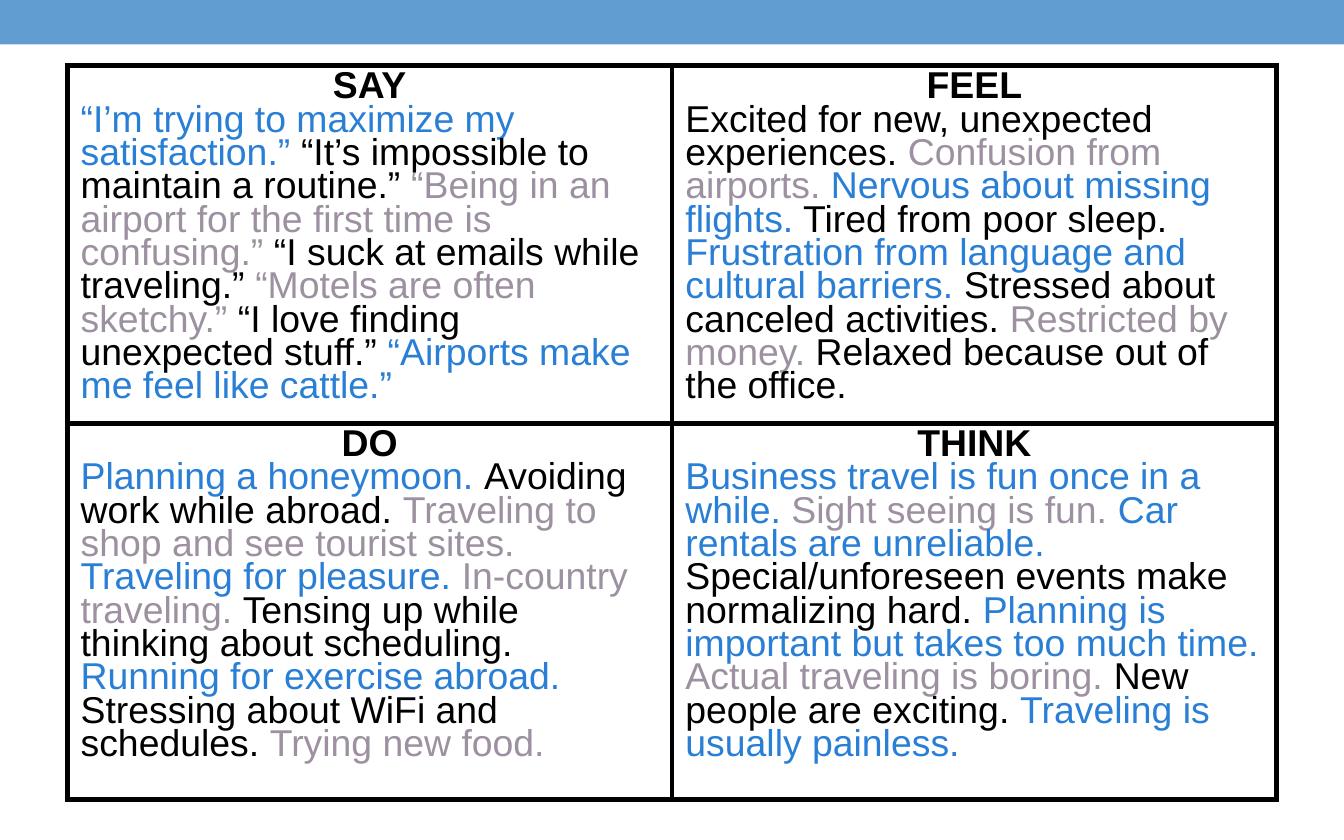
import pptx
import pptx.dml.color
import pptx.enum.shapes
import pptx.enum.text
import pptx.oxml.ns
import pptx.util
from lxml import etree

Cm = pptx.util.Cm
Pt = pptx.util.Pt
COLORS = {"bar": "629DD1", "black": "000000", "blue": "297FD5", "gray": "9D90A0"}

QUADRANTS = [
    ("SAY", [
        ("blue", "“I’m trying to maximize my satisfaction.” "),
        ("black", "“It’s impossible to maintain a routine.” "),
        ("gray", "“Being in an airport for the first time is confusing.”"),
        ("black", " “I suck at emails while traveling.” "),
        ("gray", "“Motels are often sketchy.” "),
        ("black", "“I love finding unexpected stuff.” "),
        ("blue", "“Airports make me feel like cattle.”"),
    ]),
    ("FEEL", [
        ("black", "Excited for new, unexpected experiences. "),
        ("gray", "Confusion from airports. "),
        ("blue", "Nervous about missing flights."),
        ("black", " Tired from poor sleep. "),
        ("blue", "Frustration from language and cultural barriers. "),
        ("black", "Stressed about canceled activities. "),
        ("gray", "Restricted by money. "),
        ("black", "Relaxed because out of the office."),
    ]),
    ("DO", [
        ("blue", "Planning a honeymoon. "),
        ("black", "Avoiding work while abroad. "),
        ("gray", "Traveling to shop and see tourist sites. "),
        ("blue", "Traveling for pleasure. "),
        ("gray", "In-country traveling. "),
        ("black", "Tensing up while thinking about scheduling."),
        ("blue", " Running for exercise abroad. "),
        ("black", "Stressing about WiFi and schedules. "),
        ("gray", "Trying new food."),
    ]),
    ("THINK", [
        ("blue", "Business travel is fun once in a while. "),
        ("gray", "Sight seeing is fun. "),
        ("blue", "Car rentals are unreliable. "),
        ("black", "Special/unforeseen events make normalizing hard. "),
        ("blue", "Planning is important but takes too much time. "),
        ("gray", "Actual traveling is boring. "),
        ("black", "New people are exciting. "),
        ("blue", "Traveling is usually painless."),
    ]),
]


def add_run(paragraph, text, color, bold=False):
    run = paragraph.add_run()
    run.text = text
    run.font.name = "Arial"
    run.font.size = Pt(20)
    run.font.bold = bold
    run.font.color.rgb = pptx.dml.color.RGBColor.from_string(COLORS[color])


def set_borders(cell, color, width):
    """Draw all four sides of a cell; call before setting its fill."""
    properties = cell._tc.get_or_add_tcPr()
    for side in ("lnL", "lnR", "lnT", "lnB"):
        line = etree.SubElement(properties, pptx.oxml.ns.qn(f"a:{side}"), w=str(width))
        fill = etree.SubElement(line, pptx.oxml.ns.qn("a:solidFill"))
        etree.SubElement(fill, pptx.oxml.ns.qn("a:srgbClr"), val=COLORS[color])


presentation = pptx.Presentation()
presentation.slide_width = Cm(25.4)
presentation.slide_height = Cm(15.88)
slide = presentation.slides.add_slide(presentation.slide_layouts[6])

top_bar = slide.shapes.add_shape(
    pptx.enum.shapes.MSO_SHAPE.RECTANGLE, 0, 0, presentation.slide_width, Cm(0.84))
top_bar.shadow.inherit = False
top_bar.fill.solid()
top_bar.fill.fore_color.rgb = pptx.dml.color.RGBColor.from_string(COLORS["bar"])
top_bar.line.fill.background()

row_heights = [Cm(6.76), Cm(7.11)]
empathy_map = slide.shapes.add_table(
    2, 2, Cm(1.27), Cm(1.24), Cm(22.86), sum(row_heights)).table
empathy_map.first_row = False
empathy_map.horz_banding = False
for row, height in zip(empathy_map.rows, row_heights):
    row.height = height

for cell, (heading, statements) in zip(empathy_map.iter_cells(), QUADRANTS):
    set_borders(cell, "black", Pt(3))
    cell.fill.background()
    title = cell.text_frame.paragraphs[0]
    title.alignment = pptx.enum.text.PP_ALIGN.CENTER
    add_run(title, heading, "black", bold=True)
    body = cell.text_frame.add_paragraph()
    body.alignment = pptx.enum.text.PP_ALIGN.LEFT
    for color, statement in statements:
        add_run(body, statement, color)
    for paragraph in (title, body):
        paragraph.line_spacing = 0.8

presentation.save("out.pptx")
